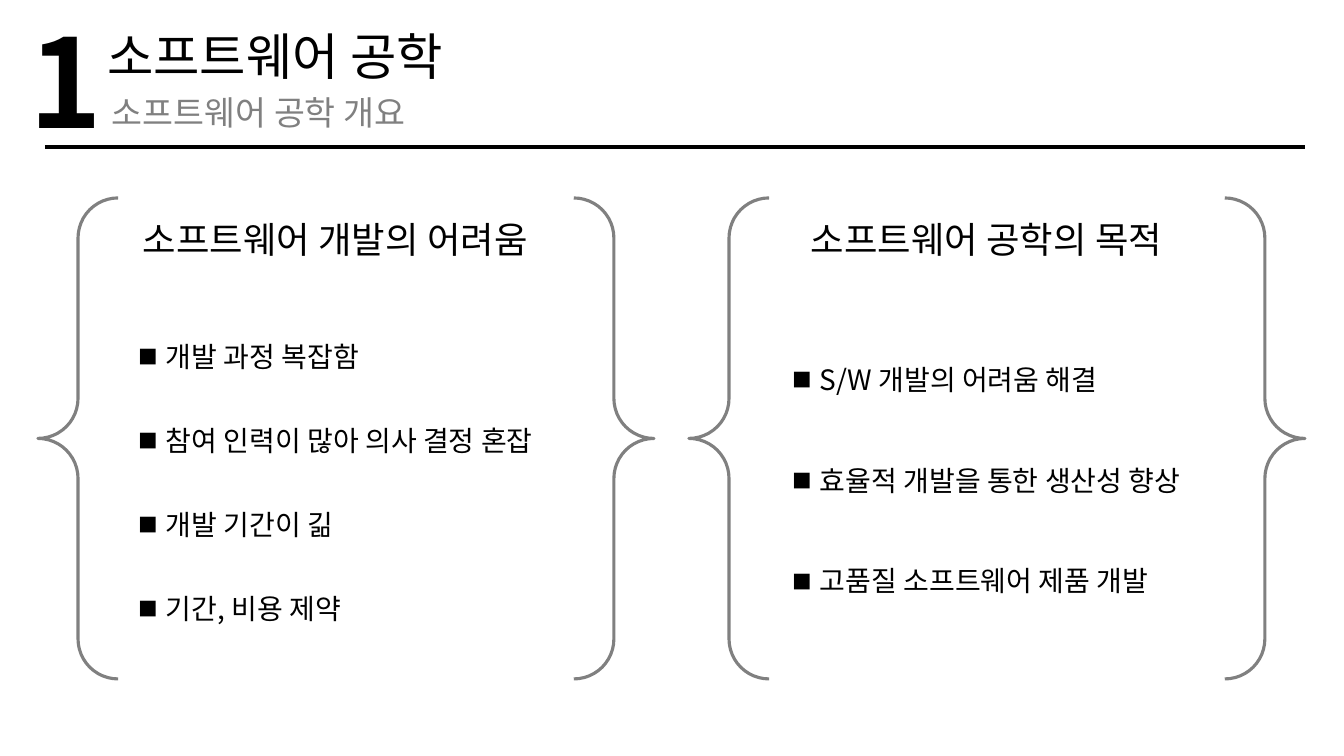
from lxml import etree
from pptx import Presentation
from pptx.dml.color import RGBColor
from pptx.enum.shapes import MSO_CONNECTOR, MSO_SHAPE
from pptx.enum.text import MSO_ANCHOR, MSO_AUTO_SIZE, PP_ALIGN
from pptx.oxml.ns import qn
from pptx.util import Pt

STRAIGHT = MSO_CONNECTOR.STRAIGHT
BRACE_PAIR = MSO_SHAPE.LEFT_BRACE, MSO_SHAPE.DOUBLE_BRACE
TOP = MSO_ANCHOR.TOP
LEFT = PP_ALIGN.LEFT
NO_FIT = MSO_AUTO_SIZE.NONE

FONT = "Noto Sans CJK KR"
COLORS = {"ink": "000000", "gray": "808080", "paper": "FFFFFF"}

CHAPTER = "1"
TITLE = "소프트웨어 공학"
SUBTITLE = "소프트웨어 공학 개요"
PANELS = [
    {
        "heading": "소프트웨어 개발의 어려움",
        "heading_left": 133,
        "points": ["개발 과정 복잡함", "참여 인력이 많아 의사 결정 혼잡",
                   "개발 기간이 긺", "기간, 비용 제약"],
        "points_box": (129, 284, 460, 335),
        "spacing": 2.5,
    },
    {
        "heading": "소프트웨어 공학의 목적",
        "heading_left": 801,
        "points": ["S/W 개발의 어려움 해결", "효율적 개발을 통한 생산성 향상",
                   "고품질 소프트웨어 제품 개발"],
        "points_box": (783, 290, 460, 297),
        "spacing": 3.0,
    },
]

# Lengths in px, 100.8 to the inch
SLIDE_W, SLIDE_H = 1344, 756
RULE_LEFT, RULE_RIGHT, RULE_Y = 45, 1305, 147
BRACE_LEFT, BRACE_TOP, BRACE_W, BRACE_H = 38, 198, 616, 481
BRACE_STEP = 651
HEADING_TOP, HEADING_W, HEADING_H = 212, 440, 54
BULLET_INDENT = 27


def px(length):
    return round(length * 914400 / 100.8)


def rgb(name):
    return RGBColor.from_string(COLORS[name])


def add_bullet(paragraph):
    properties = paragraph._p.get_or_add_pPr()
    properties.set("marL", str(px(BULLET_INDENT)))
    properties.set("indent", str(-px(BULLET_INDENT)))
    for tag, key, value in (("a:buSzPct", "val", "70000"),
                            ("a:buFont", "typeface", FONT),
                            ("a:buChar", "char", "■")):
        etree.SubElement(properties, qn(tag)).set(key, value)


def write(shape, lines, size, color="ink", bold=False, spacing=1.0, bullets=False):
    """Fill a text shape with left-aligned paragraphs in one style."""
    frame = shape.text_frame
    frame.text = "\n".join(lines)
    frame.word_wrap = True
    frame.auto_size = NO_FIT
    frame.vertical_anchor = TOP
    for paragraph in frame.paragraphs:
        paragraph.alignment = LEFT
        paragraph.line_spacing = spacing
        if bullets:
            add_bullet(paragraph)
        font = paragraph.font
        font.size = Pt(size)
        font.bold = bold
        font.color.rgb = rgb(color)
        font.name = FONT
        defaults = paragraph._p.pPr.find(qn("a:defRPr"))
        east_asian = etree.Element(qn("a:ea"), typeface=FONT)
        defaults.find(qn("a:latin")).addnext(east_asian)


def add_text(slide, box, lines, size, **style):
    write(slide.shapes.add_textbox(*map(px, box)), lines, size, **style)


def add_header(slide):
    title = slide.shapes.title
    title.left, title.top, title.width, title.height = map(px, (97, 20, 420, 72))
    write(title, [TITLE], 36)
    add_text(slide, (20, 0, 87, 159), [CHAPTER], 88, bold=True)
    add_text(slide, (102, 87, 380, 50), [SUBTITLE], 24, color="gray")
    rule = slide.shapes.add_connector(
        STRAIGHT, px(RULE_LEFT), px(RULE_Y), px(RULE_RIGHT), px(RULE_Y))
    rule.line.color.rgb = rgb("ink")
    rule.line.width = Pt(3)
    etree.SubElement(rule._element.spPr, qn("a:effectLst"))


def add_panel(slide, panel, left):
    braces = slide.shapes.add_shape(
        BRACE_PAIR[1], *map(px, (left, BRACE_TOP, BRACE_W, BRACE_H)))
    braces.shadow.inherit = False
    braces.fill.solid()
    braces.fill.fore_color.rgb = rgb("paper")
    braces.line.color.rgb = rgb("gray")
    braces.line.width = Pt(2.25)
    heading_box = (panel["heading_left"], HEADING_TOP, HEADING_W, HEADING_H)
    add_text(slide, heading_box, [panel["heading"]], 26)
    add_text(slide, panel["points_box"], panel["points"], 20,
             spacing=panel["spacing"], bullets=True)


def main():
    deck = Presentation()
    deck.slide_width, deck.slide_height = px(SLIDE_W), px(SLIDE_H)
    slide = deck.slides.add_slide(deck.slide_layouts[5])
    add_header(slide)
    for column, panel in enumerate(PANELS):
        add_panel(slide, panel, BRACE_LEFT + column * BRACE_STEP)
    deck.save("out.pptx")


if __name__ == "__main__":
    main()
